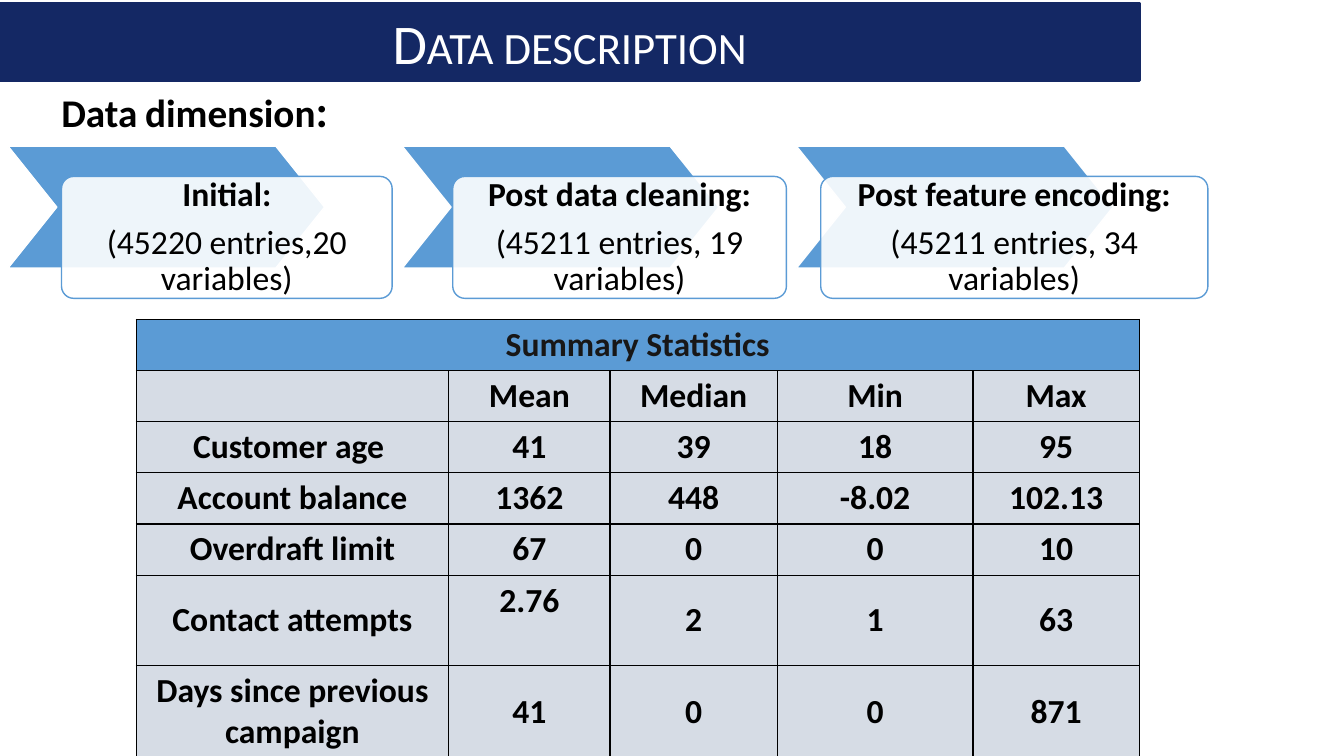
from lxml import etree
from pptx import Presentation
from pptx.dml.color import RGBColor
from pptx.enum.shapes import MSO_SHAPE
from pptx.enum.text import MSO_ANCHOR, PP_ALIGN
from pptx.oxml.ns import qn
from pptx.util import Inches, Pt

RECTANGLE, CHEVRON, ROUNDED = MSO_SHAPE.RECTANGLE, MSO_SHAPE.CHEVRON, MSO_SHAPE.ROUNDED_RECTANGLE
CENTER, LEFT = PP_ALIGN.CENTER, PP_ALIGN.LEFT
TOP, MIDDLE = MSO_ANCHOR.TOP, MSO_ANCHOR.MIDDLE

# Content
TITLE = "Data description"
HEADING = [("Data", 28), (" ", 24), ("dimension", 28), (":", 32)]
STAGES = [  # heading, detail, card left, card width
    ("Initial:", "(45220 entries,20 variables)", 0.61, 3.28),
    ("Post data cleaning:", "(45211 entries, 19 variables)", 4.49, 3.31),
    ("Post feature encoding:", "(45211 entries, 34 variables)", 8.14, 3.84),
]
STATISTICS = [
    ("Summary Statistics", "", "", "", ""),
    ("", "Mean", "Median", "Min", "Max"),
    ("Customer age ", "41", "39", "18", "95"),
    ("Account balance", "1362", "448", "-8.02", "102.13"),
    ("Overdraft limit", "67", "0", "0", "10"),
    ("Contact attempts", "2.76", "2", "1", "63"),
    ("Days since previous campaign", "41", "0", "0", "871"),
]

# Layout and style
COLORS = {"navy": "142864", "blue": "5B9BD5", "grey": "D6DCE5",
          "white": "FFFFFF", "black": "000000", "header": "181717"}
FONT = "Calibri"
SLIDE_WIDTH, SLIDE_HEIGHT = 13.33, 7.5
CHEVRON_LEFT, CHEVRON_PITCH, CHEVRON_WIDTH = 0.08, 3.91, 3.14
STAGE_TOP, STAGE_HEIGHT, CARD_DROP = 1.45, 1.21, 0.3
TABLE_LEFT, TABLE_TOP = 1.35, 3.17
COLUMN_WIDTHS = [3.1, 1.6, 1.66, 1.94, 1.65]
ROW_HEIGHTS = [0.5] * 5 + [0.9] * 2
TOP_CELL = (5, 1)


def rgb(name):
    return RGBColor.from_string(COLORS[name])


def inches(*lengths):
    return [Inches(length) for length in lengths]


def add_run(paragraph, text, size, color="black", bold=False):
    run = paragraph.add_run()
    run.text = text
    formats = {"name": FONT, "size": Pt(size), "bold": bold}
    for attribute, value in formats.items():
        setattr(run.font, attribute, value)
    run.font.color.rgb = rgb(color)
    return run


def format_frame(frame, anchor, margins=None):
    frame.word_wrap = True
    frame.vertical_anchor = anchor
    if margins is not None:
        for side in ("left", "top", "right", "bottom"):
            setattr(frame, f"margin_{side}", Inches(margins))


def add_block(slide, kind, box, fill, line, line_width=1, adjustment=None):
    shape = slide.shapes.add_shape(kind, *inches(*box))
    shape.shadow.inherit = False
    shape.fill.solid()
    shape.fill.fore_color.rgb = rgb(fill)
    shape.line.color.rgb = rgb(line)
    shape.line.width = Pt(line_width)
    if adjustment is not None:
        shape.adjustments[0] = adjustment
    return shape


def set_opacity(shape, percent):
    color = shape.fill._xPr.find(qn("a:solidFill"))[0]
    etree.SubElement(color, qn("a:alpha"), val=str(percent * 1000))


def add_borders(cell):
    properties = cell._tc.get_or_add_tcPr()
    for side in ("lnL", "lnR", "lnT", "lnB"):
        line = etree.SubElement(properties, qn(f"a:{side}"), w=str(Pt(1)))
        fill = etree.SubElement(line, qn("a:solidFill"))
        etree.SubElement(fill, qn("a:srgbClr"), val=COLORS["black"])


def add_title(slide):
    bar = add_block(slide, RECTANGLE, (0, 0.03, 11.3, 0.77), "navy", "navy", 2)
    format_frame(bar.text_frame, MIDDLE)
    paragraph = bar.text_frame.paragraphs[0]
    paragraph.alignment = CENTER
    run = add_run(paragraph, TITLE, 40, "white")
    run.font._element.set("cap", "small")


def add_table(slide):
    graphic = slide.shapes.add_table(
        len(ROW_HEIGHTS), len(COLUMN_WIDTHS),
        *inches(TABLE_LEFT, TABLE_TOP, sum(COLUMN_WIDTHS), sum(ROW_HEIGHTS)))
    table = graphic.table
    for column, width in zip(table.columns, COLUMN_WIDTHS):
        column.width = Inches(width)
    for row, height in zip(table.rows, ROW_HEIGHTS):
        row.height = Inches(height)
    table.cell(0, 0).merge(table.cell(0, len(COLUMN_WIDTHS) - 1))
    for r, values in enumerate(STATISTICS):
        for c, value in enumerate(values):
            cell = table.cell(r, c)
            add_borders(cell)
            cell.fill.solid()
            cell.fill.fore_color.rgb = rgb("grey" if r else "blue")
            cell.vertical_anchor = TOP if (r, c) == TOP_CELL else MIDDLE
            paragraph = cell.text_frame.paragraphs[0]
            paragraph.alignment = CENTER
            if value:
                add_run(paragraph, value, 24, "black" if r else "header", True)


def add_stage(slide, index, heading, detail, left, width):
    chevron_left = CHEVRON_LEFT + index * CHEVRON_PITCH
    add_block(slide, CHEVRON, (chevron_left, STAGE_TOP, CHEVRON_WIDTH, STAGE_HEIGHT),
              "blue", "white", adjustment=0.4)
    card = add_block(slide, ROUNDED, (left, STAGE_TOP + CARD_DROP, width, STAGE_HEIGHT),
                     "white", "blue", adjustment=0.1)
    set_opacity(card, 90)
    frame = card.text_frame
    format_frame(frame, MIDDLE, 0.19)
    lines = [(frame.paragraphs[0], heading, True), (frame.add_paragraph(), detail, False)]
    for paragraph, text, bold in lines:
        paragraph.alignment = CENTER
        paragraph.line_spacing = 0.9
        add_run(paragraph, text, 24, bold=bold)
    frame.paragraphs[0].space_after = Pt(8.4)


def add_heading(slide):
    box = slide.shapes.add_textbox(*inches(0.51, 0.77, 4.5, 0.64))
    format_frame(box.text_frame, TOP)
    paragraph = box.text_frame.paragraphs[0]
    paragraph.alignment = LEFT
    for text, size in HEADING:
        add_run(paragraph, text, size, bold=True)


def main():
    presentation = Presentation()
    presentation.slide_width, presentation.slide_height = inches(SLIDE_WIDTH, SLIDE_HEIGHT)
    slide = presentation.slides.add_slide(presentation.slide_layouts[6])
    add_title(slide)
    add_table(slide)
    for index, stage in enumerate(STAGES):
        add_stage(slide, index, *stage)
    add_heading(slide)
    presentation.save("out.pptx")


if __name__ == "__main__":
    main()
